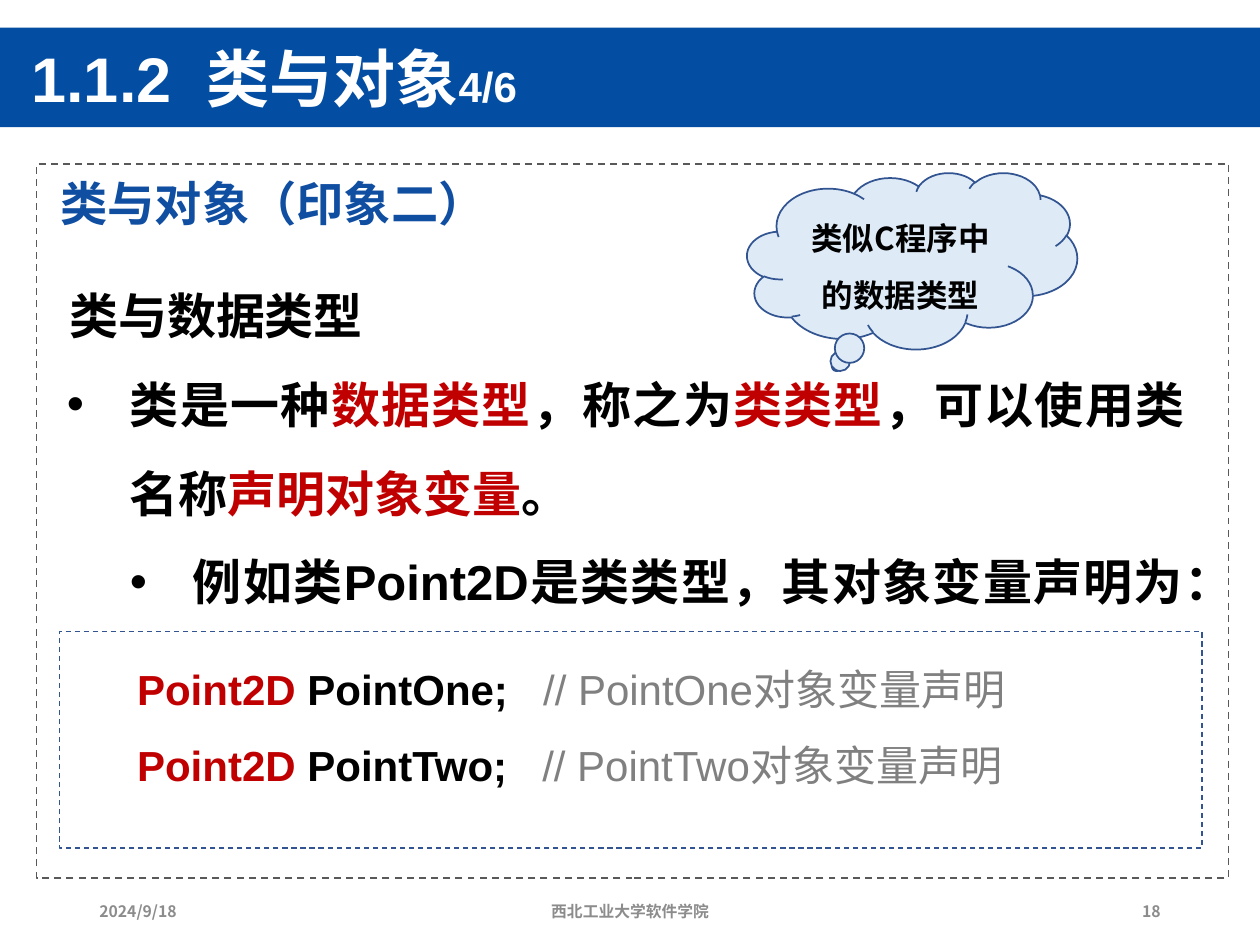
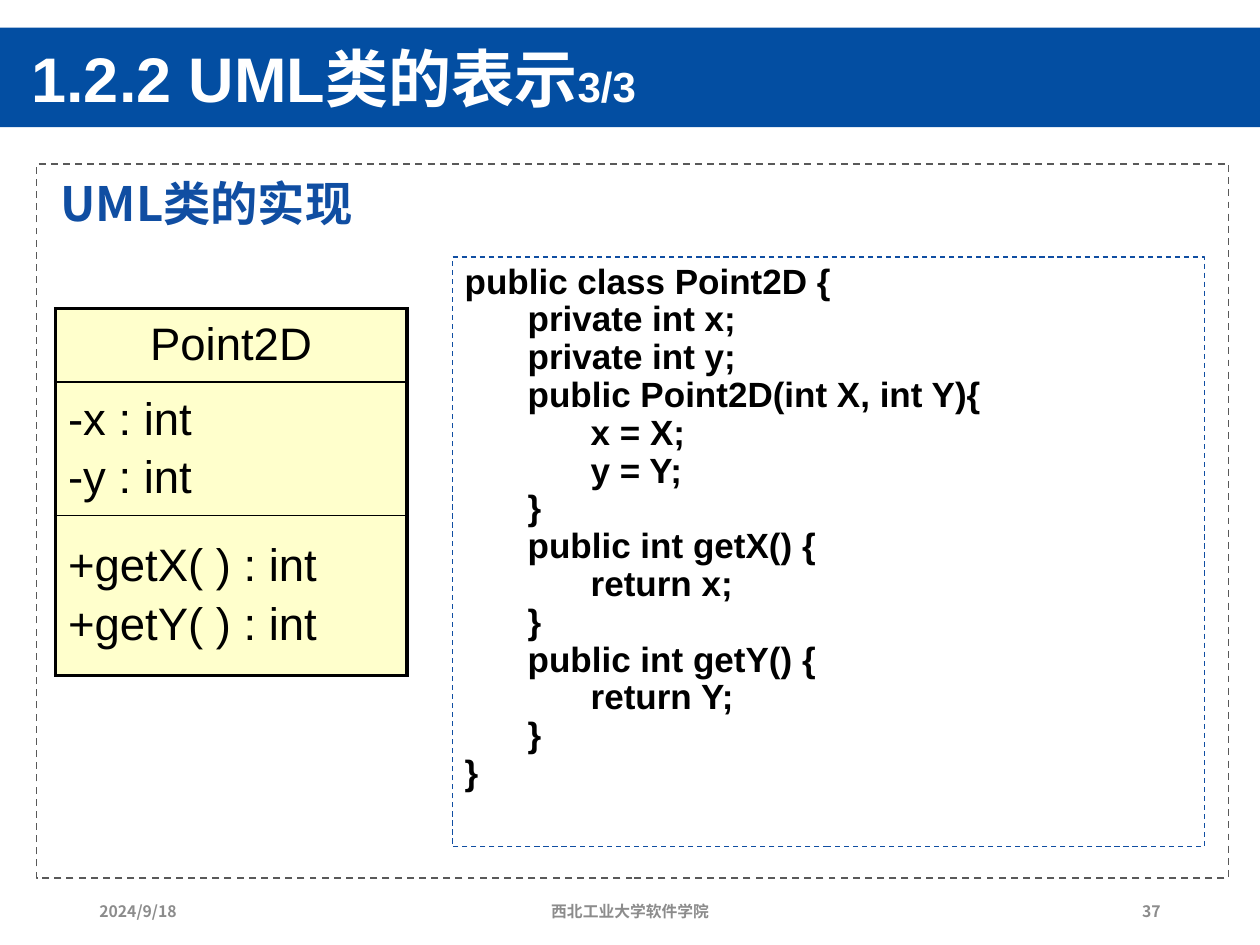
"""Build two lecture slides on classes, objects and UML."""
from dataclasses import dataclass

from lxml.etree import SubElement
from pptx import Presentation
from pptx.dml.color import RGBColor
from pptx.enum.dml import MSO_LINE
from pptx.enum.shapes import MSO_SHAPE
from pptx.enum.text import MSO_ANCHOR, MSO_AUTO_SIZE, PP_ALIGN
from pptx.oxml.ns import qn
from pptx.util import Inches, Pt


@dataclass(frozen=True)
class Theme:
    band: str = "034EA2"
    head: str = "104EA2"
    edge: str = "325491"
    frame: str = "595959"
    cloud: str = "DEEBF7"
    cell: str = "FFFFCC"
    key: str = "C00000"
    note: str = "808080"
    foot: str = "8C8C8C"
    white: str = "FFFFFF"
    black: str = "000000"
    latin: str = "Arial"
    asian: str = "Noto Sans CJK SC"
    title: int = 36
    page: int = 24
    topic: int = 27
    body: int = 28
    uml: int = 26
    code: int = 24
    java: int = 20
    hint: int = 18
    small: int = 9
    loose: float = 1.81
    tight: float = 1.08


look = Theme()
deck = Presentation()
deck.slide_width, deck.slide_height = Inches(10), Inches(7.5)
col = deck.slide_width // 10
row = deck.slide_height * 2 // 15


def grid(x, y, wide, high):
    """Turn columns and rows into slide lengths."""
    return int(x * col), int(y * row), int(wide * col), int(high * row)


def write(para, runs, size, color=look.black, face=look.latin, bold=True,
          align=PP_ALIGN.LEFT, left=0, hang=0, lead=1.0, before=0):
    """Fill a paragraph with (text, colour, size, bold) runs."""
    props = para._p.get_or_add_pPr()
    props.set("marL", str(int(left * col)))
    props.set("indent", str(int(-hang * col)))
    if hang:
        SubElement(props, qn("a:buFont"), typeface=look.latin)
        SubElement(props, qn("a:buChar"), char="•")
    else:
        SubElement(props, qn("a:buNone"))
    para.alignment, para.line_spacing = align, lead
    para.space_before, para.space_after = Pt(before), Pt(0)
    font = para.font
    font.size, font.bold, font.name = Pt(size), bold, face
    font.color.rgb = RGBColor.from_string(color)
    SubElement(props.find(qn("a:defRPr")), qn("a:ea"), typeface=look.asian)
    for text, *style in runs:
        run = para.add_run()
        run.text = text
        for name, value in zip(("color", "size", "bold"), style):
            if name == "color" and value != color:
                run.font.color.rgb = RGBColor.from_string(value)
            elif name == "size" and value != size:
                run.font.size = Pt(value)
            elif name == "bold" and value != bold:
                run.font.bold = value


rect, cloud = MSO_SHAPE.RECTANGLE, MSO_SHAPE.CLOUD_CALLOUT
band = (rect, (0, 0.22, 10, 0.79), look.band, None, 0)
frame = (rect, (0.29, 1.3, 9.46, 5.67), None, look.frame, 1)
pages = [
    (3, "1.1.2  类与对象", "4/6", "类与对象（印象二）", "18",
     [(cloud, (5.93, 1.37, 2.62, 1.4), look.cloud, look.edge, 1),
      (rect, (0.47, 5.01, 9.07, 1.72), None, look.edge, 0.75)]),
    (1, "1.2.2 UML类的表示", "3/3", "UML类的实现", "37",
     [(rect, (3.59, 2.04, 5.97, 4.68), None, look.head, 0.75)]),
]

made = []
for kind, name, part, topic, number, extra in pages:
    slide = deck.slides.add_slide(deck.slide_layouts[kind])
    shapes = []
    for form, at, fill, edge, weight in [band, frame, *extra]:
        shape = slide.shapes.add_shape(form, *grid(*at))
        shape.shadow.inherit = False
        if fill:
            shape.fill.solid()
            shape.fill.fore_color.rgb = RGBColor.from_string(fill)
        else:
            shape.fill.background()
        if edge:
            shape.line.color.rgb = RGBColor.from_string(edge)
            shape.line.width = Pt(weight)
            if form == rect:
                shape.line.dash_style = MSO_LINE.DASH
        else:
            shape.line.fill.background()
        shape.text_frame.vertical_anchor = (
            MSO_ANCHOR.TOP if form == rect else MSO_ANCHOR.MIDDLE)
        shapes.append(shape)
    slide.shapes._spTree.insert(2, shapes[0]._element)

    title, head = slide.shapes.title, slide.placeholders[1]
    title.left, title.top, title.width, title.height = grid(0.15, 0.29, 7.11, 0.72)
    head.left, head.top, head.width, head.height = grid(0.38, 1.35, 5.78, 0.52)
    for box in (title, head):
        box.text_frame.auto_size = MSO_AUTO_SIZE.NONE
        box.text_frame.vertical_anchor = MSO_ANCHOR.MIDDLE
    write(title.text_frame.paragraphs[0], [(name,), (part, look.white, look.page)],
          look.title, look.white, lead=0.9)
    write(head.text_frame.paragraphs[0], [(topic,)], look.topic, look.head, look.asian)

    for x, wide, text, align in [(0.69, 2.25, "2024/9/18", PP_ALIGN.LEFT),
                                 (3.31, 3.38, "西北工业大学软件学院", PP_ALIGN.CENTER),
                                 (7.06, 2.25, number, PP_ALIGN.RIGHT)]:
        foot = slide.shapes.add_textbox(*grid(x, 7.03, wide, 0.4)).text_frame
        foot.word_wrap, foot.vertical_anchor = True, MSO_ANCHOR.MIDDLE
        write(foot.paragraphs[0], [(text,)], look.small, look.foot, look.asian,
              align=align)
    made.append((slide, shapes[2:]))

(first, (hint, code)), (second, (java,)) = made

hint.adjustments[0], hint.adjustments[1] = -0.229, 0.598
write(hint.text_frame.paragraphs[0], [("类似C程序中的数据类型",)], look.hint,
      face=look.asian, align=PP_ALIGN.CENTER, lead=Pt(look.hint * look.loose))

body = first.placeholders[2]
body.left, body.top, body.width, body.height = grid(0.43, 1.98, 9.07, 2.98)
body.text_frame.auto_size = MSO_AUTO_SIZE.NONE
points = [
    (0.02, 0, [("类与数据类型",)]),
    (0.5, 0.5, [("类是一种",), ("数据类型", look.key), ("，称之为",),
                ("类类型", look.key), ("，可以使用类名称",),
                ("声明对象变量", look.key), ("。",)]),
    (1, 0.5, [("例如类Point2D是类类型，其对象变量声明为：",)]),
]
for i, (left, hang, runs) in enumerate(points):
    para = body.text_frame.add_paragraph() if i else body.text_frame.paragraphs[0]
    para.level = i
    write(para, runs, look.body, align=PP_ALIGN.JUSTIFY, left=left, hang=hang,
          lead=Pt(look.body * look.loose))

for i, name in enumerate(("PointOne", "PointTwo")):
    para = code.text_frame.add_paragraph() if i else code.text_frame.paragraphs[0]
    write(para, [("Point2D", look.key), (f" {name};   ",),
                 (f"// {name}对象变量声明", look.note, look.code, False)],
          look.code, align=PP_ALIGN.JUSTIFY, left=0.52,
          lead=Pt(look.code * look.loose))

lines = [
    (0, "public class Point2D {"),
    (1, "private int x;"),
    (1, "private int y;"),
    (1, "public Point2D(int X, int Y){"),
    (2, "x = X;"),
    (2, "y = Y;"),
    (1, "}"),
    (1, "public int getX() {"),
    (2, "return x;"),
    (1, "}"),
    (1, "public int getY() {"),
    (2, "return Y;"),
    (1, "}"),
    (0, "}"),
]
for i, (depth, text) in enumerate(lines):
    para = java.text_frame.add_paragraph() if i else java.text_frame.paragraphs[0]
    write(para, [(text,)], look.java, left=depth / 2,
          lead=Pt(look.java * look.tight))

parts = [
    (0.58, PP_ALIGN.CENTER, ["Point2D"]),
    (1.06, PP_ALIGN.LEFT, ["-x : int", "-y : int"]),
    (1.27, PP_ALIGN.LEFT, ["+getX( ) : int", "+getY( ) : int"]),
]
table = second.shapes.add_table(len(parts), 1, *grid(0.44, 2.45, 2.79, 2.91)).table
table.first_row = table.horz_banding = False
for i, (high, align, texts) in enumerate(parts):
    table.rows[i].height = int(high * row)
    cell = table.cell(i, 0)
    cell.vertical_anchor = MSO_ANCHOR.MIDDLE
    cell.fill.solid()
    cell.fill.fore_color.rgb = RGBColor.from_string(look.cell)
    props = cell._tc.get_or_add_tcPr()
    top = 1 if i else 2.25
    base = 2.25 if i == len(parts) - 1 else 1
    for j, (side, weight) in enumerate(zip("LRTB", (2.25, 2.25, top, base))):
        line = SubElement(props, qn(f"a:ln{side}"), w=str(Pt(weight)))
        paint = SubElement(line, qn("a:solidFill"))
        SubElement(paint, qn("a:srgbClr"), val=look.black)
        props.insert(j, line)
    for j, text in enumerate(texts):
        para = cell.text_frame.add_paragraph() if j else cell.text_frame.paragraphs[0]
        write(para, [(text,)], look.uml, bold=False, align=align,
              before=4.4 if j else 0)

deck.save("out.pptx")
